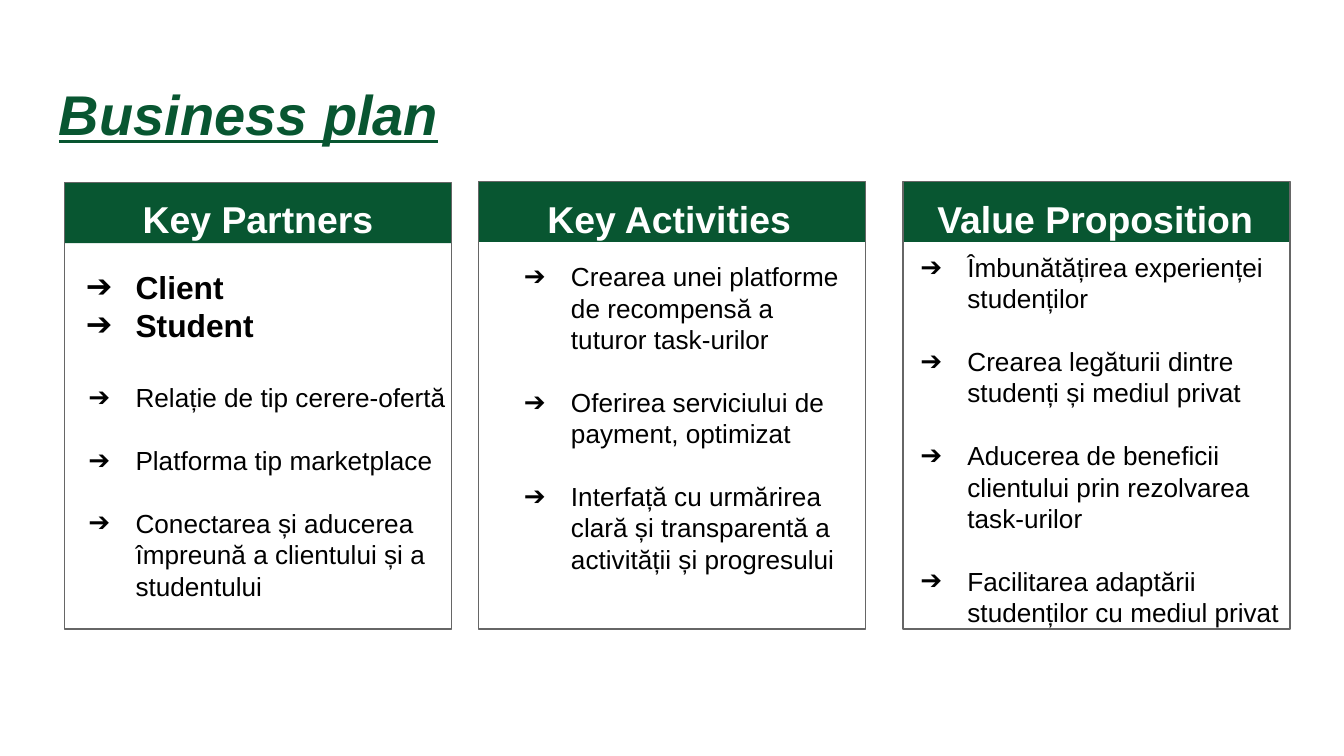
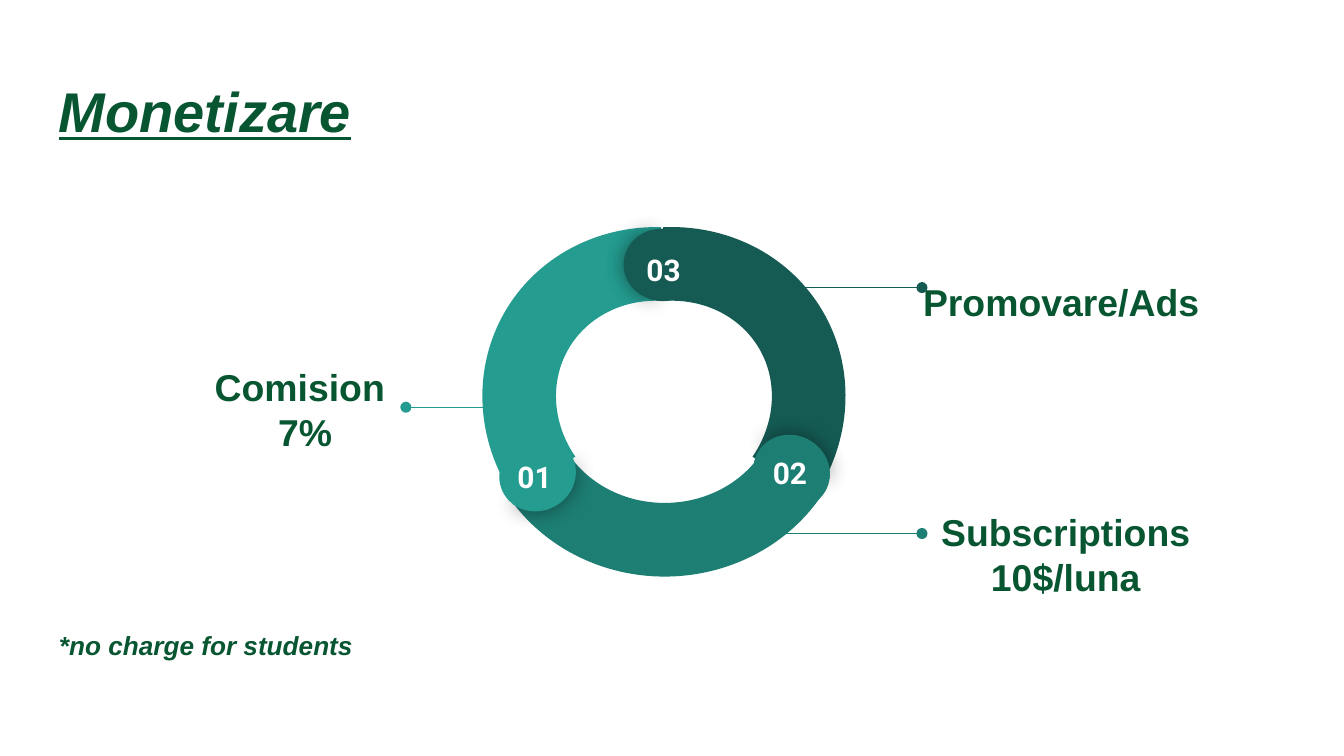
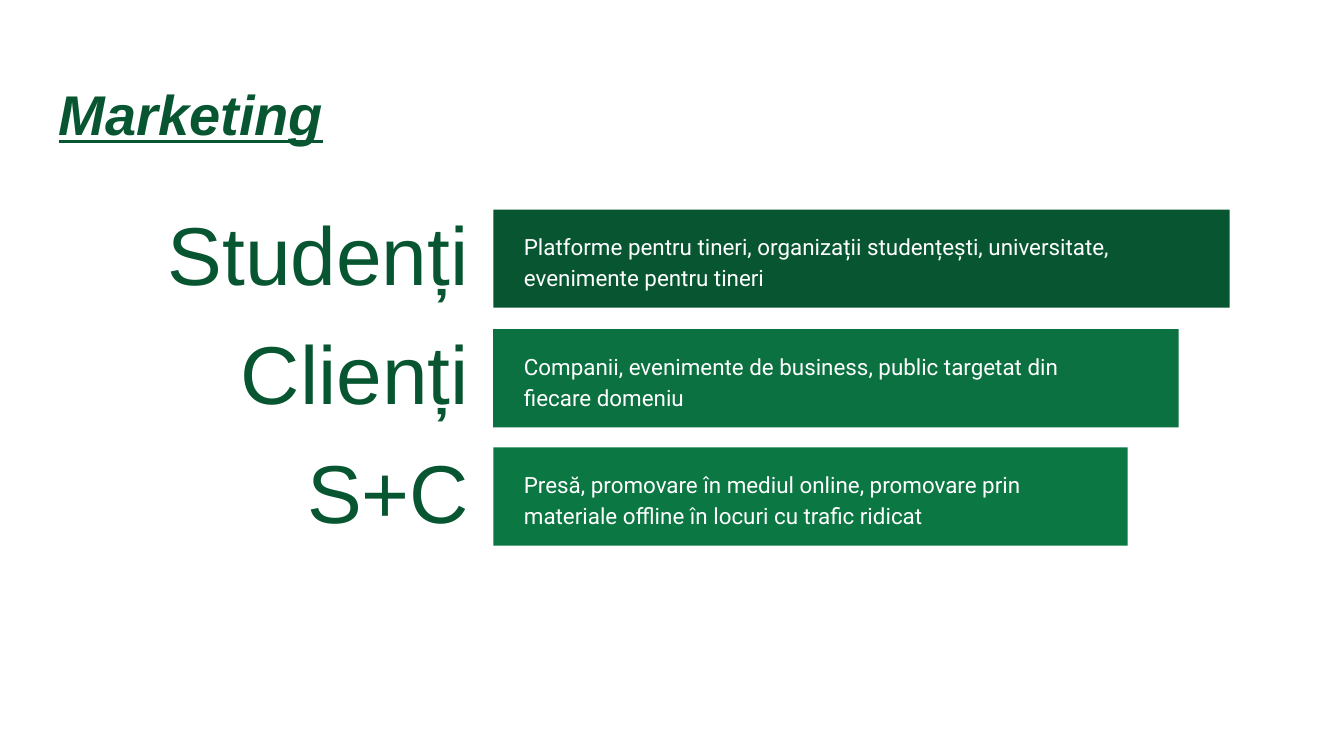
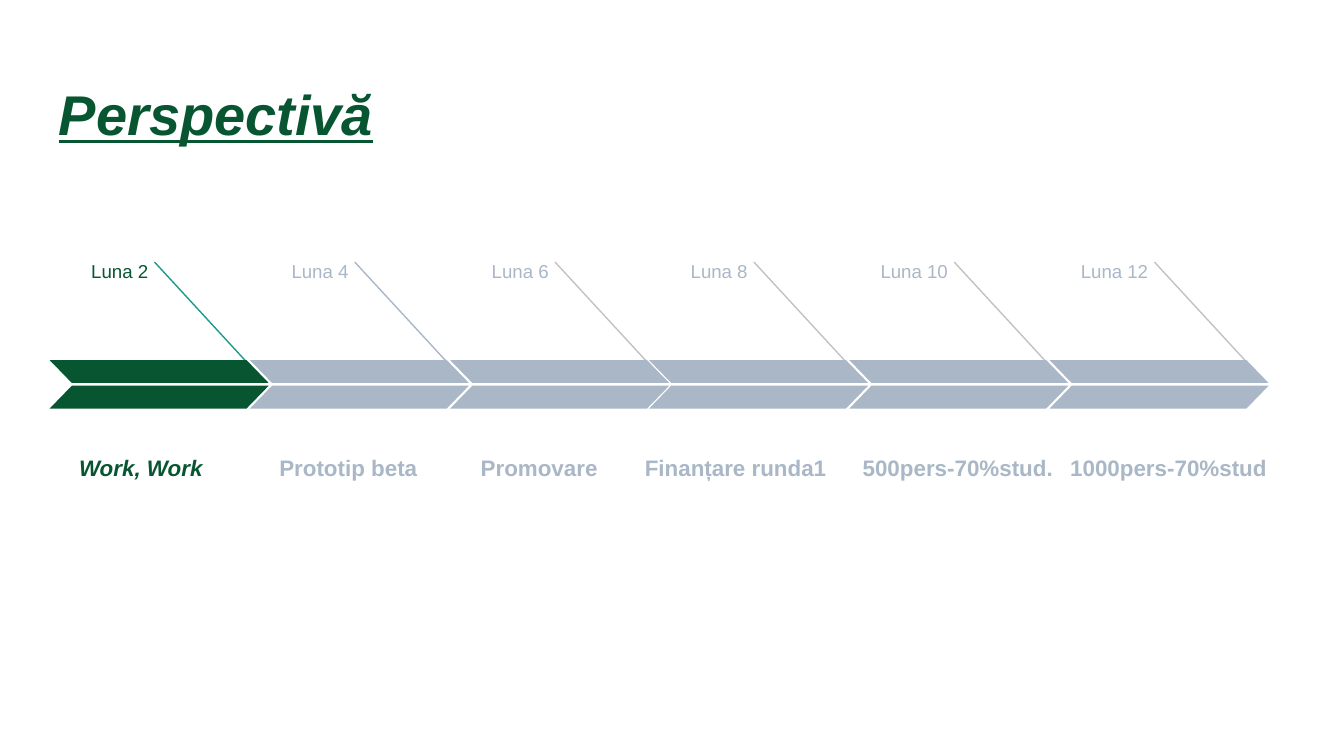
"""Build a four-slide business pitch: plan, monetisation, marketing and outlook."""
from dataclasses import dataclass

from lxml import etree
from pptx import Presentation
from pptx import util as u
from pptx.dml.color import RGBColor
from pptx.enum import shapes, text
from pptx.oxml import ns

PX = 9144
SHAPE = shapes.MSO_SHAPE
ALIGN = text.PP_ALIGN
ANCHOR = text.MSO_ANCHOR


@dataclass(frozen=True)
class Theme:
    """Colours, fonts and type sizes shared by all slides."""
    green: str = "085631"
    mid_green: str = "0B7140"
    light_green: str = "0B7743"
    teal_dark: str = "155B54"
    teal_mid: str = "1D7E74"
    teal_light: str = "249C90"
    teal_line: str = "1A9988"
    mist: str = "A9B7C6"
    silver: str = "C2C2C2"
    frame: str = "666666"
    white: str = "FFFFFF"
    black: str = "000000"
    sans: str = "Arial"
    alt: str = "Roboto"
    title: int = 30
    display: int = 44
    head: int = 20
    lead: int = 17
    number: int = 16
    body: int = 14
    note: int = 12
    small: int = 10
    hairline: float = 0.75


T = Theme()


def px(*lengths):
    """Turn px lengths into EMU."""
    return [u.Emu(n * PX) for n in lengths]


def rgb(color):
    """Return a colour object for a hex string."""
    return RGBColor.from_string(color)


def assign(obj, values):
    """Set each attribute named in a dict of format values."""
    for name, value in values.items():
        setattr(obj, name, value)


def node(parent, tag, **attrs):
    """Append a DrawingML element and return it."""
    return etree.SubElement(parent, ns.qn(tag), attrs)


def add_bullet(p, indent):
    """Give a paragraph an arrow bullet with a hanging indent."""
    pPr = p._p.get_or_add_pPr()
    left, hang = px(50, -indent)
    pPr.set("marL", str(left))
    pPr.set("indent", str(hang))
    node(node(pPr, "a:buClr"), "a:srgbClr", val=T.black)
    node(pPr, "a:buFont", typeface=T.sans)
    node(pPr, "a:buChar", char="➔")


def add_text(s, box, lines, size, color=T.green, name=T.sans, para=None,
             anchor=ANCHOR.TOP, inset_y=10, bottom=None, **font):
    """Add a wrapped text box with one paragraph per line and return its frame."""
    tf = s.shapes.add_textbox(*px(*box)).text_frame
    left, top, low = px(10, inset_y, inset_y if bottom is None else bottom)
    assign(tf, dict(word_wrap=True, vertical_anchor=anchor, margin_left=left,
                    margin_right=left, margin_top=top, margin_bottom=low))
    for i, line in enumerate(lines):
        p = tf.paragraphs[0] if i == 0 else tf.add_paragraph()
        assign(p, para or {})
        r = p.add_run()
        r.text = line
        assign(r.font, dict(size=u.Pt(size), name=name, **font))
        r.font.color.rgb = rgb(color)
        for tag in ("a:ea", "a:cs"):
            node(r._r.get_or_add_rPr(), tag, typeface=name)
    return tf


def add_title(s, title, top=49):
    """Add the underlined slide title."""
    add_text(s, (34, top, 932, 63), [title], T.title,
             bold=True, italic=True, underline=True)


def add_block(s, kind, box, fill=None, line=None, rotation=0, adj=()):
    """Add a preset shape with a flat fill or an outline."""
    sp = s.shapes.add_shape(kind, *px(*box))
    sp.shadow.inherit = False
    sp.rotation = rotation
    for i, value in enumerate(adj):
        sp.adjustments[i] = value
    if fill:
        sp.fill.solid()
        sp.fill.fore_color.rgb = rgb(fill)
    else:
        sp.fill.background()
    if line:
        sp.line.color.rgb = rgb(line)
        sp.line.width = u.Pt(T.hairline)
    else:
        sp.line.fill.background()
    return sp


def add_glow(sp):
    """Give a shape a soft centred shadow."""
    effects = sp._element.spPr.find(ns.qn("a:effectLst"))
    shadow = node(effects, "a:outerShdw", blurRad=str(u.Pt(11.2)), dist="0", dir="0",
                  algn="ctr", rotWithShape="0")
    node(node(shadow, "a:srgbClr", val=T.black), "a:alpha", val="43000")


def add_line(s, ends, color, oval=False):
    """Add a thin straight connector, with a dot at its end if wanted."""
    c = s.shapes.add_connector(shapes.MSO_CONNECTOR.STRAIGHT, *px(*ends))
    c.line.color.rgb = rgb(color)
    c.line.width = u.Pt(T.hairline)
    if oval:
        node(c.line._get_or_add_ln(), "a:tailEnd", type="oval")
    node(c._element.spPr, "a:effectLst")


def add_card(s, x, y, head_x, heading):
    """Add a framed card with a filled heading band."""
    add_block(s, SHAPE.RECTANGLE, (x, y, 288, 45), T.green)
    add_block(s, SHAPE.RECTANGLE, (x, y, 288, 468 - y), line=T.frame)
    add_text(s, (head_x, 136, 264, 45), [heading], T.head, T.white,
             para=dict(alignment=ALIGN.CENTER), bold=True)


def add_list(s, box, items, leads=()):
    """Add a bulleted list, its bold lead items closely set."""
    tf = add_text(s, box, [*leads, *items], T.body, T.black,
                  para=dict(space_after=u.Pt(16.8)))
    for i, p in enumerate(tf.paragraphs):
        if i < len(leads):
            assign(p.runs[0].font, dict(size=u.Pt(T.lead), bold=True))
            p.space_after = u.Pt(20.4 if i == len(leads) - 1 else 0)
        add_bullet(p, 37 if i < len(leads) else 35)


def add_ring_label(s, box, lines):
    """Add a centred bold label that sits above the middle of its box."""
    add_text(s, box, lines, T.head, para=dict(alignment=ALIGN.CENTER),
             anchor=ANCHOR.MIDDLE, bottom=56, bold=True)


def add_ring_cap(s, box, color, rotation, back_rotation):
    """Add a round segment end made of a shadowed and a plain half."""
    add_glow(add_block(s, SHAPE.PIE, box, color, rotation=rotation, adj=(61.9, 149.96)))
    add_block(s, SHAPE.PIE, box, color, rotation=back_rotation, adj=(40.28, 171.84))


def add_bar_row(s, y, label, label_width, bar_width, color, note, note_width):
    """Add a large label, its bar and the note on the bar."""
    add_text(s, (359 - label_width, y + 5, label_width, 63), [label], T.display,
             para=dict(alignment=ALIGN.RIGHT, line_spacing=0.9),
             anchor=ANCHOR.MIDDLE, inset_y=5)
    add_block(s, SHAPE.RECTANGLE, (367, y, bar_width, 73), color)
    add_text(s, (380, y + 9, note_width, 57), [note], T.note, T.white, T.alt,
             dict(line_spacing=1.15), ANCHOR.MIDDLE, 5)


def add_milestone(s, x, month, caption, shift, width, align, color, line, italic):
    """Add one timeline chevron with its month, pointer and caption."""
    add_line(s, (x + 78, 195, x + 160, 284), line)
    upper, lower = [add_block(s, SHAPE.PARALLELOGRAM, (x, y, 163, 17), color, adj=(0.97,))
                    for y in (268, 287)]
    upper._element.spPr.xfrm.set("flipH", "1")
    add_text(s, (x + shift, 315, width, 53), [caption], T.note, color,
             para=dict(alignment=align, line_spacing=1.15),
             anchor=ANCHOR.BOTTOM, bold=True, italic=italic)
    add_text(s, (x + 11, 181, 72, 29), [month], T.small, color,
             para=dict(alignment=ALIGN.RIGHT, line_spacing=1.15))


def business_plan(s):
    """Fill the business plan slide."""
    add_title(s, "Business plan")
    for card in ((48, 136, 60, "Key Partners"), (356, 135, 366, "Key Activities"),
                 (672, 135, 683, "Value Proposition")):
        add_card(s, *card)
    add_list(s, (41, 189, 311, 271),
             ("Relație de tip cerere-ofertă", "Platforma tip marketplace",
              "Conectarea și aducerea împreună a clientului și a studentului"),
             leads=("Client", "Student"))
    add_list(s, (660, 177, 306, 292),
             ("Îmbunătățirea experienței studenților",
              "Crearea legăturii dintre studenți și mediul privat",
              "Aducerea de beneficii clientului prin rezolvarea task-urilor",
              "Facilitarea adaptării studenților cu mediul privat"))
    add_list(s, (365, 184, 279, 271),
             ("Crearea unei platforme de recompensă a tuturor task-urilor",
              "Oferirea serviciului de payment, optimizat",
              "Interfață cu urmărirea clară și transparentă a activității și progresului"))


def monetisation(s):
    """Fill the monetisation slide with its three-part ring."""
    add_title(s, "Monetizare", 47)
    add_ring_label(s, (121, 267, 212, 121), ("Comision ", "7%"))
    for ends, color in (((365, 303, 302, 303), T.teal_light),
                        ((558, 214, 686, 214), T.teal_dark),
                        ((558, 397, 686, 397), T.teal_mid)):
        add_line(s, ends, color, oval=True)
    for box, color, rotation, end in (((362, 163, 261, 277), T.teal_dark, 60, 197.82),
                                      ((356, 168, 277, 261), T.teal_mid, 180, 196.63),
                                      ((365, 163, 261, 277), T.teal_light, 300, 197.03)):
        add_block(s, SHAPE.BLOCK_ARC, box, color, rotation=rotation,
                  adj=(126.23, end, 0.21))
    for cap in (((373, 324, 54, 58), T.teal_light, 240.6, 60),
                ((464, 170, 58, 54), T.teal_dark, 0.7, 180),
                ((562, 322, 54, 58), T.teal_mid, 120.7, 300)):
        add_ring_cap(s, *cap)
    for x, y, number in ((471, 177, "03 "), (375, 331, "01 "), (565, 328, "02 ")):
        add_text(s, (x, y, 51, 25), [number], T.number, T.white, T.alt,
                 dict(alignment=ALIGN.CENTER), bold=True)
    add_text(s, (34, 458, 275, 48), ["*no charge for students"], T.body,
             bold=True, italic=True)
    add_ring_label(s, (687, 369, 212, 132), ("Subscriptions ", "10$/luna"))
    add_ring_label(s, (676, 198, 235, 98), ("Promovare/Ads ",))


def marketing(s):
    """Fill the marketing slide with its shrinking bars."""
    add_title(s, "Marketing")
    rows = (("Studenți", 246, T.green, 500,
             "Platforme pentru tineri, organizații studențești, universitate, "
             "evenimente pentru tineri"),
            ("Clienți", 285, T.mid_green, 459,
             "Companii, evenimente de business, public targetat din fiecare domeniu"),
            ("S+C", 206, T.light_green, 404,
             "Presă, promovare în mediul online, promovare prin materiale offline "
             "în locuri cu trafic ridicat"))
    for i, (label, label_width, color, note_width, note) in enumerate(rows):
        add_bar_row(s, 156 + 177 * i // 2 + i % 2, label, label_width, 548 - 38 * i,
                    color, note, note_width)


def outlook(s):
    """Fill the outlook slide with its timeline."""
    add_title(s, "Perspectivă")
    stages = (("Work, Work", 12, 134, ALIGN.LEFT, T.green, T.teal_line),
              ("Prototip beta", 12, 134, ALIGN.LEFT, T.mist, T.mist),
              ("Promovare ", -10, 157, ALIGN.CENTER, T.mist, T.silver),
              ("Finanțare runda1", -13, 194, ALIGN.LEFT, T.mist, T.silver),
              ("500pers-70%stud.", 0, 181, ALIGN.LEFT, T.mist, T.silver),
              ("1000pers-70%stud", -5, 187, ALIGN.CENTER, T.mist, T.silver))
    for i, stage in enumerate(stages):
        add_milestone(s, round(37 + 148.8 * i), f"Luna {2 * i + 2}", *stage, italic=i == 0)


def main():
    """Build and save the presentation."""
    prs = Presentation()
    prs.slide_width, = px(1000)
    prs.slide_height = prs.slide_width * 9 // 16
    for fill_slide in (business_plan, monetisation, marketing, outlook):
        fill_slide(prs.slides.add_slide(prs.slide_layouts[6]))
    prs.save("out.pptx")


if __name__ == "__main__":
    main()
